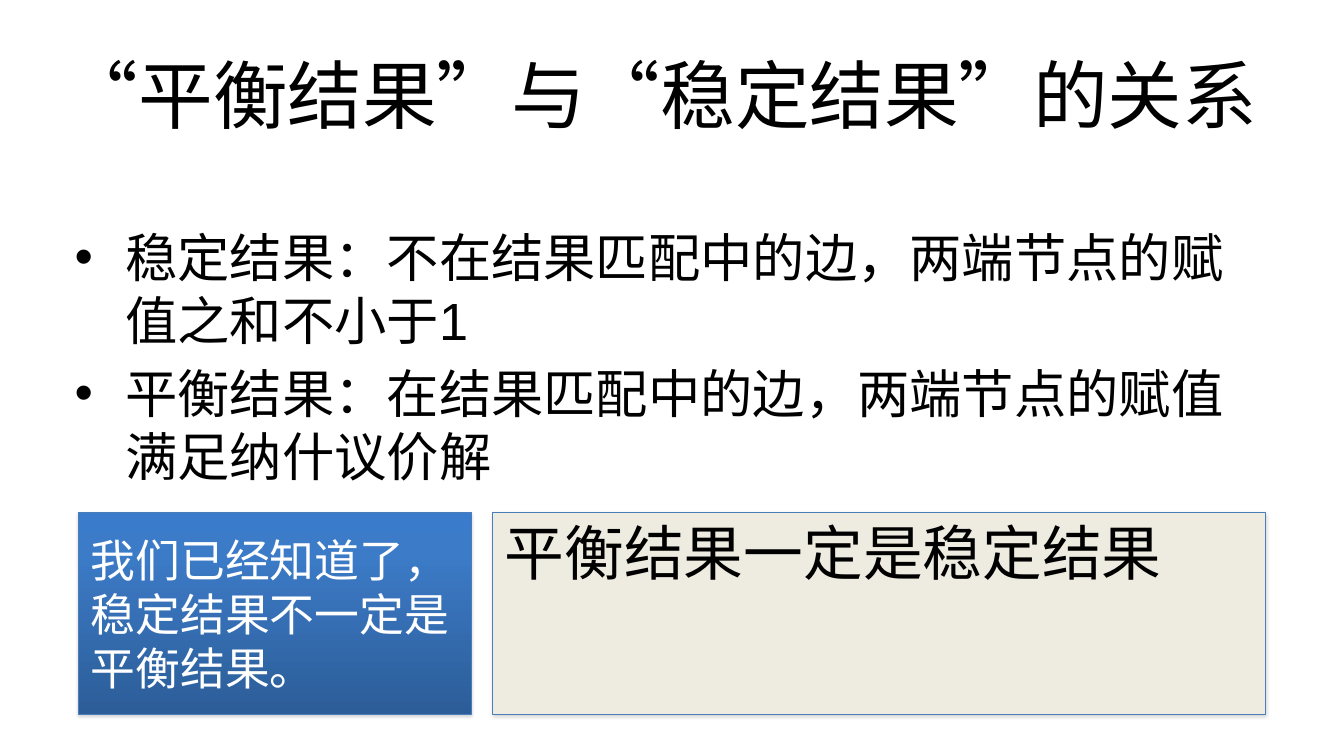
from lxml.etree import SubElement
from pptx import Presentation
from pptx.dml.color import RGBColor
from pptx.enum.shapes import MSO_SHAPE
from pptx.enum.text import MSO_ANCHOR, PP_ALIGN
from pptx.oxml import parse_xml
from pptx.oxml.ns import nsdecls, qn
from pptx.util import Inches, Pt

COLORS = {
    "background": "FFFFFF",
    "text": "000000",
    "light_text": "FFFFFF",
    "border": "4A7EBB",
    "cream": "EEECE1",
    "shadow": "808080",
}
BLUE_STOPS = [(0, "3A7CCB"), (20, "3C7BC7"), (100, "2C5D98")]
FONT = "Arial"
BOX_TOP, BOX_HEIGHT = 6.78, 2.67


def rgb(name):
    return RGBColor.from_string(COLORS[name])


def format_paragraph(paragraph, size, color):
    for run in paragraph.runs:
        run.font.name = FONT
        run.font.size = Pt(size)
        run.font.color.rgb = rgb(color)
        run.font._element.set("lang", "zh-CN")


def set_indent(paragraph, margin, indent=0):
    properties = paragraph._p.get_or_add_pPr()
    properties.set("marL", str(Inches(margin)))
    properties.set("indent", str(Inches(indent)))
    return properties


def add_title(slide, text):
    box = slide.shapes.add_textbox(Inches(0.59), Inches(0.4), Inches(16.3), Inches(1.67))
    text_frame = box.text_frame
    text_frame.word_wrap = True
    text_frame.vertical_anchor = MSO_ANCHOR.MIDDLE
    text_frame.text = text
    paragraph = text_frame.paragraphs[0]
    paragraph.alignment = PP_ALIGN.CENTER
    format_paragraph(paragraph, 71.1, "text")


def add_bullets(slide, items):
    box = slide.shapes.add_textbox(Inches(0.89), Inches(2.93), Inches(16), Inches(4.3))
    text_frame = box.text_frame
    text_frame.word_wrap = True
    text_frame.text = "\n".join(items)
    for index, paragraph in enumerate(text_frame.paragraphs):
        properties = set_indent(paragraph, 0.67, -0.67)
        SubElement(properties, qn("a:buFont"), typeface=FONT)
        SubElement(properties, qn("a:buChar"), char="•")
        if index:
            paragraph.space_before = Pt(10)
        format_paragraph(paragraph, 49.8, "text")


def fill_gradient(shape, stops):
    stop_xml = "".join(
        f'<a:gs pos="{position * 1000}"><a:srgbClr val="{color}"/></a:gs>'
        for position, color in stops
    )
    gradient = parse_xml(
        f'<a:gradFill {nsdecls("a")} rotWithShape="1"><a:gsLst>{stop_xml}</a:gsLst>'
        '<a:lin ang="5400000" scaled="0"/></a:gradFill>'
    )
    shape._element.spPr.find(qn("a:prstGeom")).addnext(gradient)


def add_shadow(shape):
    shape.shadow.inherit = False
    effects = shape._element.spPr.find(qn("a:effectLst"))
    shadow = SubElement(
        effects, qn("a:outerShdw"), blurRad=str(Pt(3.1)), dist=str(Pt(1.8)),
        dir="5400000", rotWithShape="0",
    )
    color = SubElement(shadow, qn("a:srgbClr"), val=COLORS["shadow"])
    SubElement(color, qn("a:alpha"), val="35000")


def add_box(slide, left, width, text, size, color, anchor, fill=None):
    shape = slide.shapes.add_shape(
        MSO_SHAPE.RECTANGLE, Inches(left), Inches(BOX_TOP), Inches(width), Inches(BOX_HEIGHT)
    )
    if fill:
        shape.fill.solid()
        shape.fill.fore_color.rgb = rgb(fill)
    else:
        fill_gradient(shape, BLUE_STOPS)
    shape.line.color.rgb = rgb("border")
    shape.line.width = Pt(0.75)
    add_shadow(shape)
    text_frame = shape.text_frame
    text_frame.word_wrap = True
    text_frame.vertical_anchor = anchor
    text_frame.text = text
    paragraph = text_frame.paragraphs[0]
    paragraph.alignment = PP_ALIGN.LEFT
    set_indent(paragraph, 0.06)
    format_paragraph(paragraph, size, color)


def main():
    presentation = Presentation()
    presentation.slide_width = Inches(17.78)
    presentation.slide_height = Inches(10)
    slide = presentation.slides.add_slide(presentation.slide_layouts[6])
    slide.background.fill.solid()
    slide.background.fill.fore_color.rgb = rgb("background")

    add_title(slide, "“平衡结果”与“稳定结果”的关系")
    add_bullets(slide, [
        "稳定结果：不在结果匹配中的边，两端节点的赋值之和不小于1",
        "平衡结果：在结果匹配中的边，两端节点的赋值满足纳什议价解",
    ])
    add_box(slide, 1.04, 5.19, "我们已经知道了，稳定结果不一定是平衡结果。",
            42.7, "light_text", MSO_ANCHOR.MIDDLE)
    add_box(slide, 6.52, 10.22, "平衡结果一定是稳定结果",
            56.9, "text", MSO_ANCHOR.TOP, fill="cream")
    presentation.save("out.pptx")


if __name__ == "__main__":
    main()
